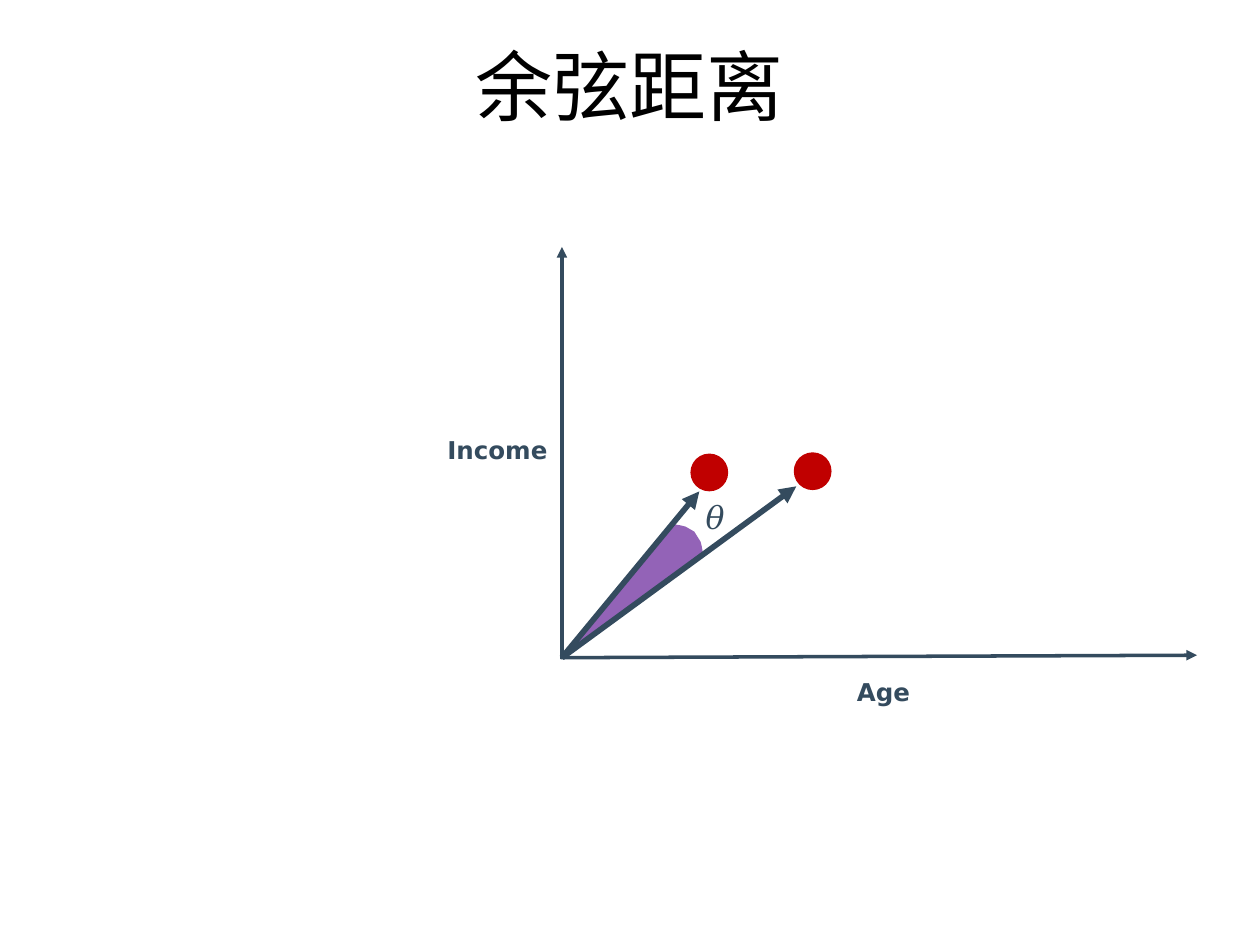
from typing import NamedTuple

from lxml import etree
from pptx import Presentation
from pptx.dml.color import RGBColor
from pptx.enum.shapes import MSO_CONNECTOR, MSO_SHAPE
from pptx.enum.text import MSO_ANCHOR, PP_ALIGN
from pptx.oxml.ns import qn
from pptx.util import Emu, Pt

STRAIGHT = MSO_CONNECTOR.STRAIGHT
OVAL = MSO_SHAPE.OVAL
MIDDLE, TOP = MSO_ANCHOR.MIDDLE, MSO_ANCHOR.TOP
CENTER, LEFT = PP_ALIGN.CENTER, PP_ALIGN.LEFT

BLACK = RGBColor(0x00, 0x00, 0x00)
SLATE = RGBColor(0x34, 0x4B, 0x5E)
PURPLE = RGBColor(0x6F, 0x2F, 0x9F)
RED = RGBColor(0xC0, 0x00, 0x00)

EMU_PER_PX = 9144  # 100 px to the inch
DOT_SIZE = 30


class Point(NamedTuple):
    x: int
    y: int


class Arrow(NamedTuple):
    start: Point
    tip: Point
    weight: float


class Label(NamedTuple):
    text: str
    left: int
    top: int
    width: int
    height: int
    size: int = 14
    font: str = "DejaVu Sans"
    bold: bool = True


AXIS_LABELS = [
    Label("Age", 679, 535, 65, 25),
    Label("Income", 354, 343, 87, 25),
]
ANGLE_LABEL = Label("𝜃", 559, 393, 17, 33, size=18, font="DejaVu Serif", bold=False)

AXES = [
    Arrow(Point(446, 523), Point(446, 196), 2),
    Arrow(Point(445, 522), Point(950, 520), 2),
]
VECTORS = [
    Arrow(Point(446, 522), Point(555, 390), 3.25),
    Arrow(Point(446, 522), Point(632, 386), 3.25),
]
ANGLE_OUTLINE = [
    Point(534, 416), Point(449, 520), Point(558, 440), Point(557, 434),
    Point(556, 430), Point(551, 422), Point(544, 418), Point(540, 417),
]
DOT_CENTERS = [Point(645, 374), Point(563, 375)]


def px(length: int) -> Emu:
    return Emu(length * EMU_PER_PX)


def write_text(frame, text: str, *, size: int, font: str, color: RGBColor,
               bold: bool = False, align=LEFT, anchor=TOP) -> None:
    frame.word_wrap = True
    frame.vertical_anchor = anchor
    paragraph = frame.paragraphs[0]
    paragraph.alignment = align
    run = paragraph.add_run()
    run.text = text
    run.font.size = Pt(size)
    run.font.name = font
    run.font.bold = bold
    run.font.color.rgb = color


def add_label(slide, label: Label) -> None:
    box = slide.shapes.add_textbox(
        px(label.left), px(label.top), px(label.width), px(label.height))
    frame = box.text_frame
    frame.margin_left, frame.margin_top = px(1), px(2)
    frame.margin_right = frame.margin_bottom = 0
    write_text(frame, label.text, size=label.size, font=label.font,
               color=SLATE, bold=label.bold)


def add_arrow(slide, arrow: Arrow) -> None:
    connector = slide.shapes.add_connector(
        STRAIGHT, px(arrow.start.x), px(arrow.start.y), px(arrow.tip.x), px(arrow.tip.y))
    connector.line.color.rgb = SLATE
    connector.line.width = Pt(arrow.weight)
    line = connector.line._get_or_add_ln()
    etree.SubElement(line, qn("a:tailEnd"), type="triangle", w="med", len="med")
    etree.SubElement(connector._element.spPr, qn("a:effectLst"))


def fill_plain(shape, color: RGBColor) -> None:
    """Give a solid fill without outline or shadow."""
    shape.shadow.inherit = False
    shape.fill.solid()
    shape.fill.fore_color.rgb = color
    shape.line.fill.background()


def add_dot(slide, center: Point) -> None:
    radius = DOT_SIZE // 2
    dot = slide.shapes.add_shape(
        OVAL, px(center.x - radius), px(center.y - radius), px(DOT_SIZE), px(DOT_SIZE))
    fill_plain(dot, RED)


def add_angle(slide) -> None:
    first, *others = ANGLE_OUTLINE
    builder = slide.shapes.build_freeform(first.x, first.y, scale=EMU_PER_PX)
    builder.add_line_segments(others, close=True)
    angle = builder.convert_to_shape()
    fill_plain(angle, PURPLE)
    color = angle._element.spPr.find(qn("a:solidFill")).find(qn("a:srgbClr"))
    etree.SubElement(color, qn("a:alpha"), val="75000")


def main() -> None:
    presentation = Presentation()
    presentation.slide_width, presentation.slide_height = px(1000), px(750)
    slide = presentation.slides.add_slide(presentation.slide_layouts[5])

    title = slide.shapes.title
    title.left, title.top, title.width, title.height = px(50), px(5), px(900), px(125)
    write_text(title.text_frame, "余弦距离", size=44, font="Calibri",
               color=BLACK, align=CENTER, anchor=MIDDLE)

    for label in AXIS_LABELS:
        add_label(slide, label)
    for axis in AXES:
        add_arrow(slide, axis)
    add_angle(slide)
    for center in DOT_CENTERS:
        add_dot(slide, center)
    add_label(slide, ANGLE_LABEL)
    for vector in VECTORS:
        add_arrow(slide, vector)

    presentation.save("out.pptx")


if __name__ == "__main__":
    main()
